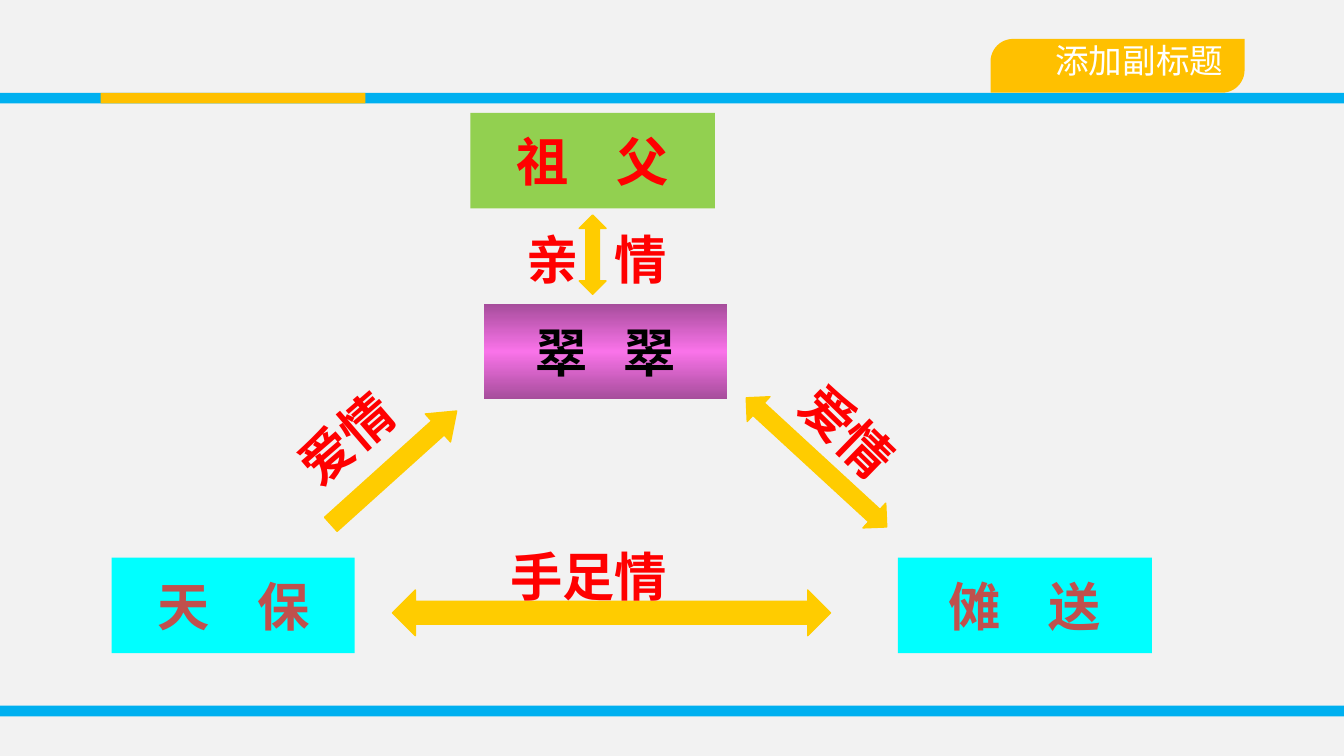
from copy import deepcopy
from pptx import Presentation
from pptx import util as u
from pptx.dml.color import RGBColor
from pptx.enum import shapes, text

GREY = RGBColor(0xF2, 0xF2, 0xF2)
BLUE = RGBColor(0x00, 0xB0, 0xF0)
AMBER = RGBColor(0xFF, 0xC0, 0x00)
GOLD = RGBColor(0xFF, 0xCC, 0x00)
GREEN = RGBColor(0x92, 0xD0, 0x50)
CYAN = RGBColor(0x00, 0xFF, 0xFF)
PURPLE = RGBColor(0xA6, 0x4D, 0x9B)
PINK = RGBColor(0xF9, 0x73, 0xE9)
RED = RGBColor(0xFF, 0x00, 0x00)
BRICK = RGBColor(0xC0, 0x50, 0x4D)
BLACK = RGBColor(0x00, 0x00, 0x00)
WHITE = RGBColor(0xFF, 0xFF, 0xFF)

KIND = shapes.MSO_SHAPE
HEADING = {"name": "Calibri", "size": u.Pt(28), "bold": True}
SUBTITLE = {"name": "Calibri", "size": u.Pt(18), "bold": False}

deck = Presentation()
deck.slide_width = u.Inches(10)
deck.slide_height = u.Inches(10 * 9 / 16)
page = deck.slides.add_slide(deck.slide_layouts[6])
page.background.fill.solid()
page.background.fill.fore_color.rgb = GREY


def add_block(kind, place, color):
    block = page.shapes.add_shape(kind, *map(u.Inches, place))
    block.shadow.inherit = False
    block.fill.solid()
    block.fill.fore_color.rgb = color
    block.line.fill.background()
    return block


def write(box, words, color, style, align, wrap, spacing=0):
    frame = box.text_frame
    frame.word_wrap = wrap
    frame.vertical_anchor = text.MSO_ANCHOR.MIDDLE
    para = frame.paragraphs[0]
    para.alignment = align
    span = para.add_run()
    span.text = words
    for name, value in style.items():
        setattr(span.font, name, value)
    span.font.color.rgb = color
    if spacing:
        span.font._element.set("spc", str(spacing))


for left, top, width, color in [
    (0, 5.25, 10, BLUE),
    (0, 0.69, 10, BLUE),
    (0.75, 0.69, 1.97, AMBER),
]:
    add_block(KIND.RECTANGLE, (left, top, width, 0.08), color)

tab = add_block(KIND.ROUND_2_DIAG_RECTANGLE, (7.37, 0.29, 1.89, 0.4), AMBER)
tab.adjustments[0] = 0.42
subtitle = page.shapes.add_textbox(*map(u.Inches, (7.5, 0.22, 1.7, 0.45)))
write(subtitle, "添加副标题", WHITE, SUBTITLE, text.PP_ALIGN.RIGHT, True)

people = {}
for words, left, top, width, fill, color, spacing in [
    ("祖　父", 3.5, 0.84, 1.82, GREEN, RED, -120),
    ("翠　翠", 3.6, 2.26, 1.81, PINK, BLACK, -440),
    ("天　保", 0.83, 4.15, 1.81, CYAN, BRICK, -120),
    ("傩　送", 6.68, 4.15, 1.89, CYAN, BRICK, -120),
]:
    person = add_block(KIND.RECTANGLE, (left, top, width, 0.71), fill)
    write(person, words, color, HEADING, text.PP_ALIGN.CENTER, False, spacing)
    people[words] = person

fill = people["翠　翠"].fill
fill.gradient()
fill.gradient_angle = 90
first_stop = fill.gradient_stops[0]._gs
first_stop.addnext(deepcopy(first_stop))
for stop, position, color in zip(fill.gradient_stops, (0, 0.5, 1), (PURPLE, PINK, PURPLE)):
    stop.position = position
    stop.color.rgb = color

for kind, place, turn, adjustments in [
    (KIND.UP_DOWN_ARROW, (4.31, 1.6, 0.2, 0.59), 0, (0.6, 0.5)),
    (KIND.RIGHT_ARROW, (2.3, 3.34, 1.26, 0.28), 318, (0.5, 0.67)),
    (KIND.UP_DOWN_ARROW, (5.95, 2.73, 0.25, 1.42), 312.6, (0.72, 0.5)),
    (KIND.UP_DOWN_ARROW, (4.38, 2.93, 0.34, 3.26), 90, (0.94, 0.5)),
]:
    arrow = add_block(kind, place, GOLD)
    arrow.rotation = turn
    for index, value in enumerate(adjustments):
        arrow.adjustments[index] = value
    arrow.line.color.rgb = GOLD
    arrow.line.width = u.Pt(0.75)

for words, left, top, width, turn, spacing in [
    ("亲　情", 3.82, 1.64, 1.42, 0, -440),
    ("爱情", 2.07, 2.93, 1.09, 319.2, 0),
    ("爱情", 5.81, 2.96, 1.09, 44.2, 0),
    ("手足情", 3.7, 4, 1.73, 0, 0),
]:
    bond = page.shapes.add_textbox(*map(u.Inches, (left, top, width, 0.57)))
    bond.rotation = turn
    write(bond, words, RED, HEADING, text.PP_ALIGN.LEFT, True, spacing)

deck.save("out.pptx")
